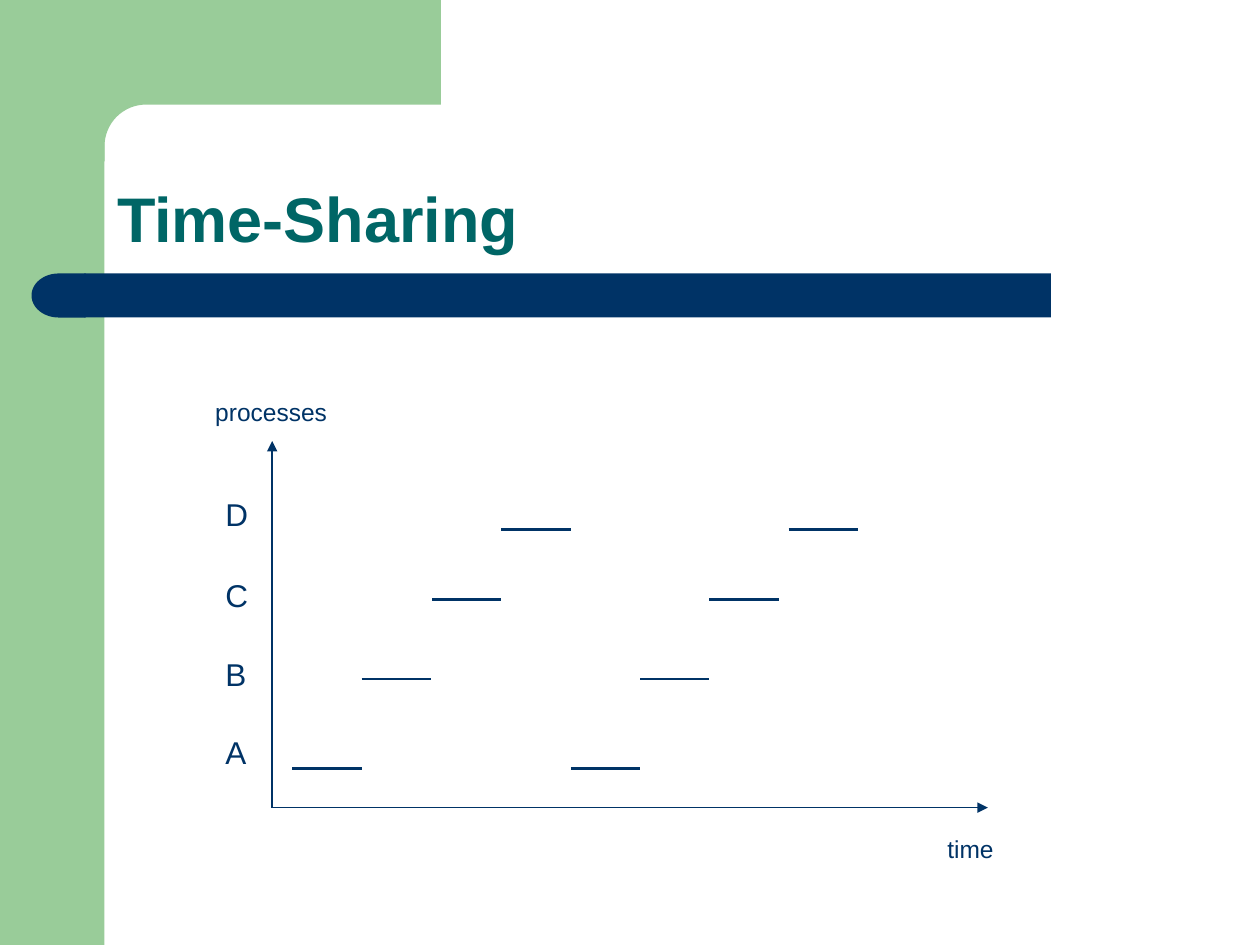
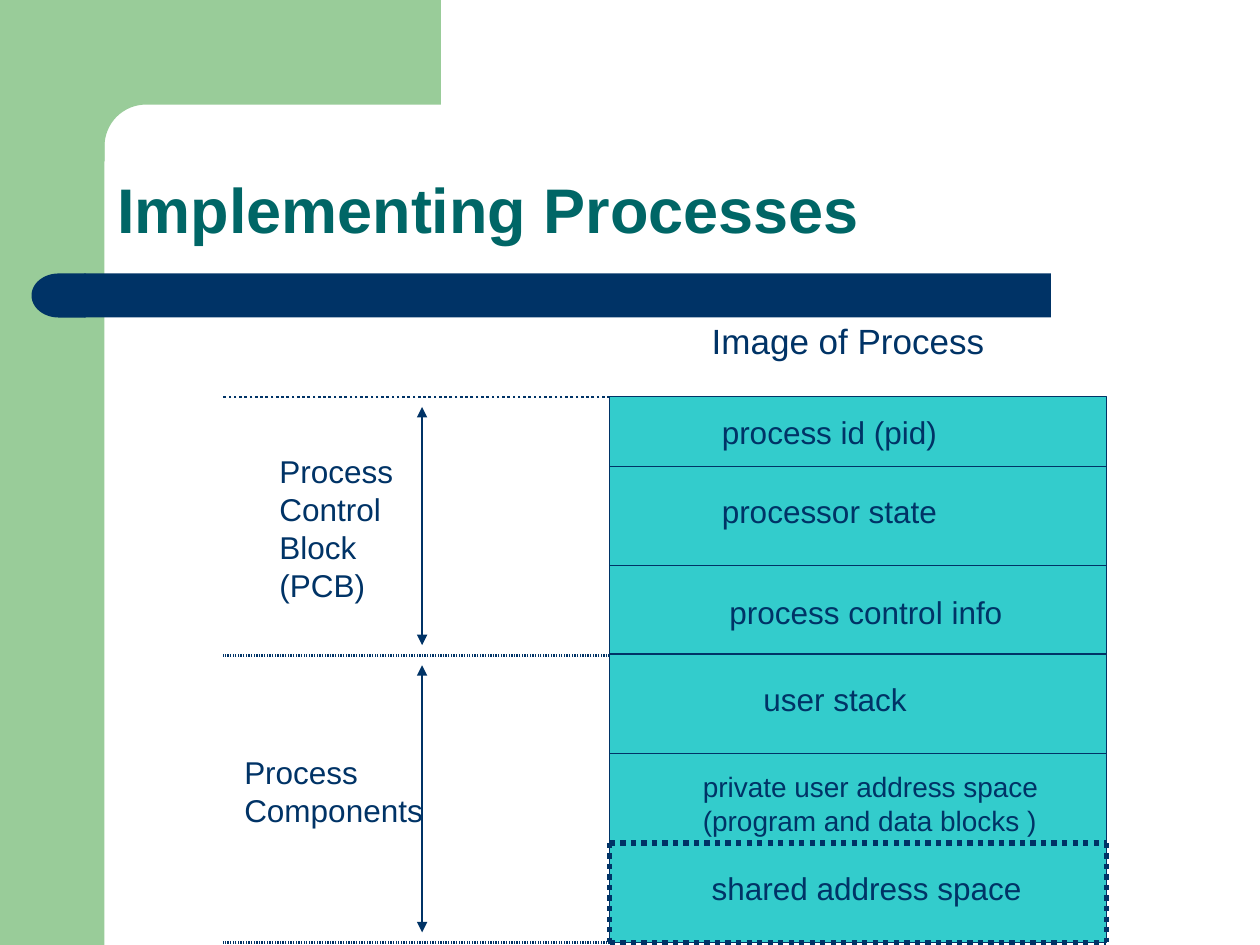
from math import cos, pi, sin

from lxml import etree
from pptx import Presentation
from pptx.dml.color import RGBColor
from pptx.enum.dml import MSO_LINE
from pptx.enum.shapes import MSO_CONNECTOR, MSO_SHAPE
from pptx.enum.text import MSO_ANCHOR, MSO_AUTO_SIZE, PP_ALIGN
from pptx.oxml.ns import qn
from pptx.util import Inches, Pt

RECT = MSO_SHAPE.RECTANGLE
DELAY = MSO_SHAPE.FLOWCHART_DELAY
STRAIGHT = MSO_CONNECTOR.STRAIGHT
DOTS = MSO_LINE.ROUND_DOT
LEFT = PP_ALIGN.LEFT
BOTTOM = MSO_ANCHOR.BOTTOM
FIXED = MSO_AUTO_SIZE.NONE

FONT = "Arial"
SLACK = 0.1  # spare width that keeps each label line whole
COLORS = {"green": "99CC99", "navy": "003366", "teal": "006666", "aqua": "33CCCC"}


def color(name):
    return RGBColor.from_string(COLORS[name])


class Deck:
    """Holds the style and the current slide."""

    def __init__(self):
        self.prs = Presentation()
        self.prs.slide_width = Inches(10)
        self.prs.slide_height = Inches(7.5)
        self.slide = None

    def start(self, title, height):
        """Add a slide with its bands and title."""
        self.slide = self.prs.slides.add_slide(self.prs.slide_layouts[5])
        self.bands()
        box = self.slide.shapes.title
        box.left, box.top = Inches(0.83), Inches(0.83)
        box.width, box.height = Inches(8.67), Inches(height)
        frame = box.text_frame
        frame.text = title
        frame.auto_size = FIXED
        frame.vertical_anchor = BOTTOM
        self.style(frame, 36, "teal", True)
        frame.paragraphs[0].line_spacing = 0.9

    def bands(self):
        self.shape(RECT, 0, 0, 0.83, 7.5, "green")
        # Green corner with a rounded inner edge
        mid, rad = 1.16, 0.33
        turns = [pi / 2 * i / 16 for i in range(17)]
        arc = [(mid - rad * sin(t), mid - rad * cos(t)) for t in turns]
        edge = [(3.5, 0.83)] + arc + [(0.83, 1.28), (0.5, 1.28), (0.5, 0)]
        pen = self.slide.shapes.build_freeform(Inches(3.5), 0)
        pen.add_line_segments([(Inches(x), Inches(y)) for x, y in edge])
        self.paint(pen.convert_to_shape(), "green")
        # Navy bar with a round left end
        self.shape(RECT, 0.67, 2.17, 7.67, 0.35, "navy")
        self.shape(DELAY, 0.25, 2.17, 0.43, 0.35, "navy").rotation = 180

    def paint(self, item, fill, line=None):
        item.shadow.inherit = False
        item.fill.solid()
        item.fill.fore_color.rgb = color(fill)
        if line:
            item.line.color.rgb = color(line)
            item.line.width = Pt(0.75)
        else:
            item.line.fill.background()

    def shape(self, kind, x, y, w, h, fill, line=None):
        item = self.slide.shapes.add_shape(
            kind, Inches(x), Inches(y), Inches(w), Inches(h))
        self.paint(item, fill, line)
        return item

    def style(self, frame, size, tint, bold=False):
        for para in frame.paragraphs:
            para.alignment = LEFT
            for run in para.runs:
                font = run.font
                font.name, font.size, font.bold = FONT, Pt(size), bold
                font.color.rgb = color(tint)

    def text(self, words, x, y, w, h, size=18):
        box = self.slide.shapes.add_textbox(
            Inches(x), Inches(y), Inches(w + SLACK), Inches(h))
        frame = box.text_frame
        frame.text = words
        frame.word_wrap = True
        frame.auto_size = FIXED
        self.style(frame, size, "navy")

    def line(self, x1, y1, x2, y2, width=0.75, dash=None, fine=False, ends=()):
        item = self.slide.shapes.add_connector(
            STRAIGHT, Inches(x1), Inches(y1), Inches(x2), Inches(y2))
        item.line.color.rgb = color("navy")
        item.line.width = Pt(width)
        if dash:
            item.line.dash_style = dash
        pen = item.line._get_or_add_ln()
        if fine:
            dots = etree.SubElement(pen, qn("a:custDash"))
            etree.SubElement(dots, qn("a:ds"), d="50000", sp="50000")
        for end in ends:
            etree.SubElement(pen, qn(f"a:{end}"), type="triangle")
        etree.SubElement(item._element.spPr, qn("a:effectLst"))


def sharing(deck):
    deck.start("Time-Sharing", 1.25)
    # Axes
    left, base = 2.16, 6.41
    for x, y in ((left, 3.5), (7.84, base)):
        deck.line(left, base, x, y, ends=["tailEnd"])
    deck.text("time", 7.42, 6.57, 0.57, 0.34, 14)
    deck.text("processes", 1.61, 3.1, 1.09, 0.34, 14)
    # Each process: name, label top, run height, start of each run
    rows = (("A", 5.77, 6.1, (2.32, 4.53)),
            ("B", 5.15, 5.39, (2.87, 5.08)),
            ("C", 4.52, 4.76, (3.43, 5.63)),
            ("D", 3.88, 4.2, (3.98, 6.26)))
    for name, top, y, starts in rows:
        deck.text(name, 1.69, top, 0.37, 0.4)
        for x in starts:
            deck.line(x, y, x + 0.55, y, 1.5)


def image(deck):
    deck.start("Implementing Processes", 1.18)
    left, right, top, low = 4.84, 8.78, 3.15, 7.48
    # Process image and its parts
    deck.shape(RECT, left, top, right - left, low - top, "aqua", "navy")
    deck.text("Image of Process", 5.55, 2.49, 2.36, 0.44, 20)
    for y in (3.7, 4.49, 5.19, 5.98):
        deck.line(left, y, right, y)
    # Dotted frame of the shared part
    split = 6.69
    for y in (split, low):
        deck.line(left, y, right, y, 3, DOTS)
    for x in (left, right):
        deck.line(x, split, x, low, 3, DOTS)
    # Part names
    parts = (("process id (pid)", 5.63, 3.23, 1.91),
             ("processor state", 5.63, 3.86, 1.91),
             ("process control info", 5.69, 4.66, 2.37),
             ("user stack", 5.96, 5.35, 1.34),
             ("shared address space", 5.55, 6.85, 2.66))
    for words, x, y, w in parts:
        deck.text(words, x, y, w, 0.4)
    deck.text("private user address space\n(program and data blocks )",
              5.48, 6.06, 2.92, 0.64, 16)
    # Guides and spans on the left
    far, mid, gap = 1.77, 5.2, 0.08
    deck.line(left, top, far, top, 1.5, DOTS)
    for y in (mid, low):
        deck.line(left, y, far, y, 1.5, fine=True)
    for y1, y2 in ((top, mid), (mid, low)):
        deck.line(3.35, y1 + gap, 3.35, y2 - gap, ends=["headEnd", "tailEnd"])
    deck.text("Process\nControl\nBlock\n(PCB)", 2.12, 3.54, 1.17, 1.3)
    deck.text("Process\nComponents", 1.84, 5.93, 1.61, 0.7)


def main():
    deck = Deck()
    sharing(deck)
    image(deck)
    deck.prs.save("out.pptx")


if __name__ == "__main__":
    main()
